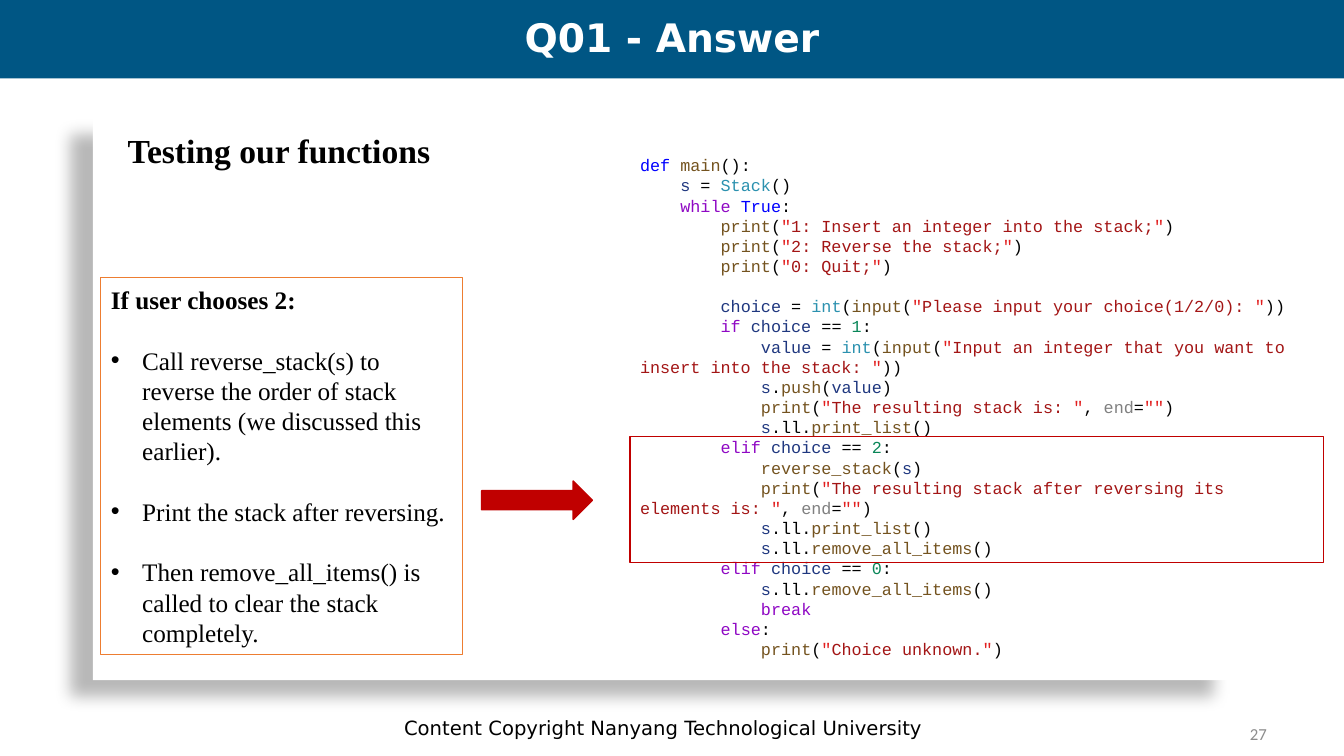
from lxml.etree import SubElement
from pptx import Presentation
from pptx.dml.color import RGBColor
from pptx.enum.shapes import MSO_SHAPE
from pptx.enum.text import MSO_ANCHOR, MSO_AUTO_SIZE, PP_ALIGN
from pptx.oxml.ns import qn
from pptx.util import Cm, Pt


class Theme:
    heading_font, label_font = "DejaVu Sans", "Calibri"
    body_font, code_font = "Times New Roman", "Courier New"
    title_size, heading_size, body_size = Pt(28), Pt(24), Pt(18)
    footer_size, small_size = Pt(14), Pt(12)
    body_gap, code_gap = Pt(21.6), Pt(14.4)
    white, black = RGBColor(255, 255, 255), RGBColor(0, 0, 0)
    band, orange = RGBColor(0x00, 0x56, 0x84), RGBColor(0xED, 0x7D, 0x31)
    red, grey = RGBColor(0xC0, 0x00, 0x00), RGBColor(0x8C, 0x8C, 0x8C)
    quote, string = RGBColor(0xE2, 0x1F, 0x1F), RGBColor(0xA3, 0x15, 0x15)
    number = RGBColor(0x09, 0x86, 0x58)
    syntax = {
        RGBColor(0x00, 0x00, 0xFF): "def True",
        RGBColor(0x8F, 0x08, 0xC4): "while if elif else break",
        RGBColor(0x74, 0x53, 0x1F):
            "main print input push print_list reverse_stack remove_all_items",
        RGBColor(0x1F, 0x37, 0x7F): "s choice value",
        RGBColor(0x2B, 0x91, 0xAF): "Stack int",
        RGBColor(0x80, 0x80, 0x80): "end",
    }


# A bar separates neighbouring tokens; an empty line becomes a paragraph gap.
CODE = [
    'def |main|():',
    '    |s| = |Stack|()',
    '    |while |True|:',
    '        |print|(|"1: Insert an integer into the stack;"|)',
    '        |print|(|"2: Reverse the stack;"|)',
    '        |print|(|"0: Quit;"|)',
    '',
    '        |choice| = |int|(|input|(|"Please input your choice(1/2/0): "|))',
    '        |if |choice| == |1|:',
    '            |value| = |int|(|input|(|"Input an integer that you want to insert into the stack: "|))',
    '            |s|.|push|(|value|)',
    '            |print|(|"The resulting stack is: "|, |end|=|""|)',
    '            |s|.ll.|print_list|()',
    '        |elif |choice| == |2|:',
    '            |reverse_stack|(|s|)',
    '            |print|(|"The resulting stack after reversing its elements is: "|, |end|=|""|)',
    '            |s|.ll.|print_list|()',
    '            |s|.ll.|remove_all_items|()',
    '        |elif |choice| == |0|:',
    '            |s|.ll.|remove_all_items|()',
    '            |break',
    '        |else|:',
    '            |print|(|"Choice unknown."|)',
]

STEPS = [
    "Call reverse_stack(s) to reverse the order of stack elements (we discussed this earlier).",
    "Print the stack after reversing.",
    "Then remove_all_items() is called to clear the stack completely.",
]

deck = Presentation()
deck.slide_width, deck.slide_height = Cm(33.87), Cm(19.05)
page = deck.slides.add_slide(deck.slide_layouts[1])
shapes = page.shapes


def add_block(kind, left, top, width, height, fill=None, line=None):
    block = shapes.add_shape(kind, Cm(left), Cm(top), Cm(width), Cm(height))
    block.shadow.inherit = False
    for paint, colour in ((block.fill, fill), (block.line.fill, line)):
        if colour is None:
            paint.background()
        else:
            paint.solid()
            paint.fore_color.rgb = colour
    if line is not None:
        block.line.width = Pt(1)
    return block


def set_font(font, name, size, colour, bold=False):
    font.name, font.size, font.bold = name, size, bold
    font.color.rgb = colour


# Background panel with its shadow, and the title band
panel = add_block(MSO_SHAPE.RECTANGLE, 2.34, 2.97, 28.78, 14.17, fill=Theme.white)
effects = panel.element.spPr.find(qn("a:effectLst"))
shadow = SubElement(effects, qn("a:outerShdw"), blurRad=str(Pt(11.8)),
                    dist=str(Pt(19.7)), dir=str(141 * 60000), rotWithShape="0")
shadow_colour = SubElement(shadow, qn("a:srgbClr"), val=str(Theme.black))
SubElement(shadow_colour, qn("a:alpha"), val="28000")
add_block(MSO_SHAPE.RECTANGLE, 0, 0, 33.87, 1.98, fill=Theme.band)

# Single-line labels: footer, page number and section heading
labels = [
    ("Content Copyright Nanyang Technological University", (4.55, 17.83, 24.33, 1.02),
     PP_ALIGN.CENTER, MSO_ANCHOR.MIDDLE,
     (Theme.heading_font, Theme.footer_size, Theme.black)),
    ("27", (24.28, 17.98, 7.9, 1.02), PP_ALIGN.RIGHT, MSO_ANCHOR.MIDDLE,
     (Theme.label_font, Theme.small_size, Theme.grey)),
    ("Testing our functions", (2.97, 3.15, 9.42, 1.27), PP_ALIGN.LEFT, MSO_ANCHOR.TOP,
     (Theme.body_font, Theme.heading_size, Theme.black, True)),
]
for text, place, alignment, anchor, font in labels:
    frame = shapes.add_textbox(*map(Cm, place)).text_frame
    frame.word_wrap = True
    frame.vertical_anchor = anchor
    para = frame.paragraphs[0]
    para.text, para.alignment = text, alignment
    set_font(para.font, *font)

# Code listing
code_frame = shapes.add_textbox(Cm(15.88), Cm(3.78), Cm(17.48), Cm(13.08)).text_frame
code_frame.word_wrap = True
token_colours = {word: colour for colour, words in Theme.syntax.items()
                 for word in words.split()}
para, gap = code_frame.paragraphs[0], Pt(0)
for index, line in enumerate(CODE):
    if not line:
        gap = Theme.code_gap
        continue
    if index:
        para = code_frame.add_paragraph()
    para.space_before, gap = gap, Pt(0)
    para.font.name, para.font.size = Theme.code_font, Theme.small_size
    for token in line.split("|"):
        if token.startswith('"'):
            pieces = [('"', Theme.quote), (token[1:-1], Theme.string), ('"', Theme.quote)]
        elif token.isdigit():
            pieces = [(token, Theme.number)]
        else:
            pieces = [(token, token_colours.get(token.strip(), Theme.black))]
        for text, colour in pieces:
            if text:
                span = para.add_run()
                span.text = text
                span.font.color.rgb = colour

# Title, brought in front of the band
title = shapes.title
title.left, title.top, title.width, title.height = Cm(0), Cm(0.1), Cm(33.87), Cm(1.8)
title.text_frame.auto_size = MSO_AUTO_SIZE.NONE
title.text_frame.vertical_anchor = MSO_ANCHOR.MIDDLE
para = title.text_frame.paragraphs[0]
para.text, para.alignment, para.line_spacing = "Q01 - Answer", PP_ALIGN.CENTER, 0.9
set_font(para.font, Theme.heading_font, Theme.title_size, Theme.white, True)

# Explanation box, brought in front of the panel
steps = page.placeholders[1]
steps.left, steps.top, steps.width, steps.height = Cm(2.54), Cm(6.99), Cm(9.12), Cm(9.5)
steps.line.color.rgb, steps.line.width = Theme.orange, Pt(1)
frame = steps.text_frame
frame.auto_size = MSO_AUTO_SIZE.NONE
frame.vertical_anchor = MSO_ANCHOR.MIDDLE
for index, text in enumerate(["If user chooses 2:", *STEPS]):
    para = frame.add_paragraph() if index else frame.paragraphs[0]
    para.text, para.alignment = text, PP_ALIGN.LEFT
    para.space_before = Theme.body_gap if index else Pt(0)
    properties = para._p.get_or_add_pPr()
    indent = Cm(0.79) if index else 0
    properties.set("marL", str(indent))
    properties.set("indent", str(-indent))
    if index:
        SubElement(properties, qn("a:buFont"), typeface="Arial")
        SubElement(properties, qn("a:buChar"), char="•")
    else:
        SubElement(properties, qn("a:buNone"))
    set_font(para.font, Theme.body_font, Theme.body_size, Theme.black, bold=not index)

for placeholder in (title, steps):
    shapes.element.append(placeholder.element)

# Arrow to the highlighted branch
add_block(MSO_SHAPE.RIGHT_ARROW, 12.14, 12.12, 2.79, 0.97, Theme.red, Theme.red)
add_block(MSO_SHAPE.RECTANGLE, 15.88, 11, 17.48, 3.18, line=Theme.red)

deck.save("out.pptx")
